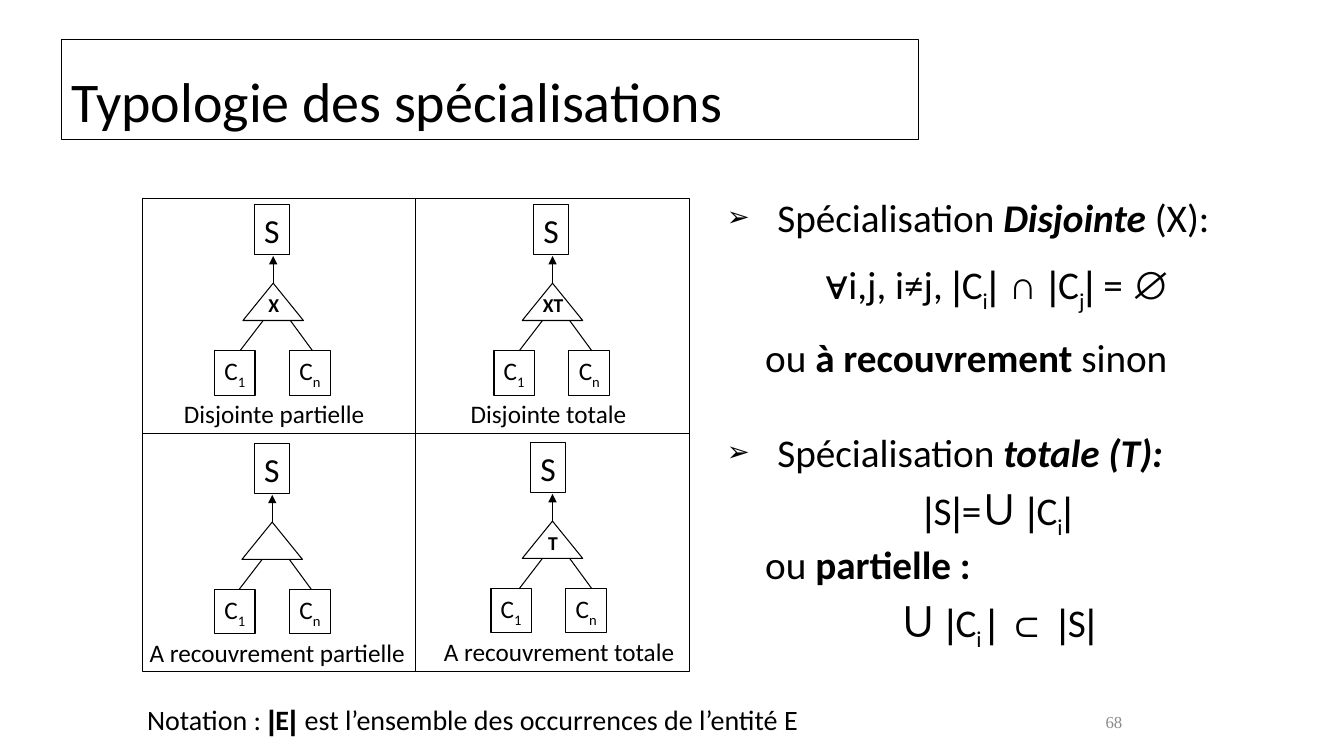
"""Build the slide on the kinds of specialisation."""
from lxml import etree
from pptx import Presentation
from pptx.dml.color import RGBColor
from pptx.enum.shapes import MSO_CONNECTOR, MSO_SHAPE
from pptx.enum.text import MSO_ANCHOR, MSO_AUTO_SIZE, PP_ALIGN
from pptx.oxml.ns import qn
from pptx.util import Pt

PX = 9144
LEFT, MID, RIGHT = PP_ALIGN.LEFT, PP_ALIGN.CENTER, PP_ALIGN.RIGHT
TOP, CORE, BASE = MSO_ANCHOR.TOP, MSO_ANCHOR.MIDDLE, MSO_ANCHOR.BOTTOM
RECT, CONE = MSO_SHAPE.RECTANGLE, MSO_SHAPE.ISOSCELES_TRIANGLE
LINE = MSO_CONNECTOR.STRAIGHT
FIXED = MSO_AUTO_SIZE.NONE
COLORS = {"ink": "000000", "gray": "8B8B8B"}

TREES = [
    (252, 203, 0, "X", "Disjointe partielle", 272, 210),
    (529, 203, 0, "XT", "Disjointe totale", 544, 190),
    (252, 440, -1, "", "A recouvrement partielle", 275, 294),
    (526, 439, 3, "T", "A recouvrement totale", 554, 341),
]
RULES = [
    ("bullet", 0, [("Spécialisation ", ""), ("Disjointe", "bi"), (" (X):", "")]),
    ("center", 14, [("∀", "a"), ("i,j, i≠j, ", ""), ("|", "a"), ("C", ""),
                    ("i", "s"), ("| ∩ |", "a"), ("C", ""), ("j", "s"),
                    ("|", "a"), (" = ", ""), ("∅", "a")]),
    ("plain", 14, [("ou ", ""), ("à recouvrement ", "b"), ("sinon", "")]),
    ("bullet", 34, [("Spécialisation ", ""), ("totale (T):", "bi")]),
    ("center", 0, [("|", "a"), ("S", ""), ("|", "a"), ("=", ""), ("∪", "au"),
                   (" ", ""), ("|", "a"), ("C", ""), ("i", "s"), ("|", "a")]),
    ("plain", 0, [("ou ", ""), ("partielle :", "b")]),
    ("center", 0, [("∪", "au"), (" ", ""), ("|", "a"), ("C", ""), ("i ", "s"),
                   ("| ⊂ |", "a"), ("S", ""), ("|", "a")]),
]
NOTE = [("Notation : ", ""), ("|", "ab"), ("E", "b"), ("| ", "ab"),
        ("est l’ensemble des occurrences de l’entité E", "")]


def tint(name):
    """Return a named colour."""
    return RGBColor.from_string(COLORS[name])


def place(shape, x, y, w, h):
    """Move and size a shape in px."""
    shape.left, shape.top = x * PX, y * PX
    shape.width, shape.height = w * PX, h * PX


def border(shape):
    """Give a shape or line the thin black stroke."""
    shape.line.color.rgb = tint("ink")
    shape.line.width = Pt(0.75)


def write(para, runs, size, align=LEFT, face="Calibri", color="ink"):
    """Fill a paragraph with runs flagged a(rial), b, i, s(ub) or u(nion)."""
    para.alignment = align
    para.font.size = Pt(size)
    para.font.name = face
    para.font.color.rgb = tint(color)
    for text, flags in runs:
        run = para.add_run()
        run.text = text
        if "a" in flags:
            run.font.name = "Arial"
        if "b" in flags:
            run.font.bold = True
        if "i" in flags:
            run.font.italic = True
        if "u" in flags:
            run.font.size = Pt(36)
        if "s" in flags:
            run.font._element.set("baseline", "-25000")


def label(slide, area, runs, size, align=LEFT, anchor=TOP, **style):
    """Add a text box."""
    box = slide.shapes.add_textbox(*(v * PX for v in area))
    frame = box.text_frame
    frame.word_wrap = True
    frame.vertical_anchor = anchor
    write(frame.paragraphs[0], runs, size, align, **style)


def block(slide, kind, area, runs=(), size=18):
    """Add an unfilled outlined shape with optional text."""
    shape = slide.shapes.add_shape(kind, *(v * PX for v in area))
    shape.shadow.inherit = False
    shape.fill.background()
    border(shape)
    if runs:
        frame = shape.text_frame
        frame.word_wrap = False
        frame.vertical_anchor = CORE
        write(frame.paragraphs[0], runs, size, MID)


def link(slide, start, end, arrow=False):
    """Add a line, with an arrowhead at its end if asked."""
    line = slide.shapes.add_connector(LINE, *(v * PX for v in start + end))
    border(line)
    if arrow:
        stroke = line.line._get_or_add_ln()
        etree.SubElement(stroke, qn("a:tailEnd"), type="triangle")
    etree.SubElement(line._element.spPr, qn("a:effectLst"))


def tree(slide, x, y, skew, mark, name, mid, wide):
    """Draw one specialisation tree and its caption."""
    apex = x + 19 + skew
    block(slide, RECT, (x, y, 35, 50), [("S", "")], 24)
    block(slide, RECT, (x - 39, y + 145, 40, 44), [("C", ""), ("1", "s")])
    block(slide, RECT, (x + 35, y + 145, 41, 44), [("C", ""), ("n", "s")])
    block(slide, CONE, (apex - 30, y + 78, 60, 37))
    link(slide, (apex, y + 78), (apex, y + 51), True)
    for foot, tip in ((-33, -10), (39, 17)):
        link(slide, (apex + foot, y + 145), (apex + tip, y + 115))
    if mark:
        label(slide, (apex - 32, y + 83, 65, 33), [(mark, "b")], 14, MID)
    label(slide, (mid - wide // 2, y + 187, wide, 40), [(name, "")], 18, MID)


def bullet(para, kind):
    """Set the indent and bullet of a rule line."""
    props = para._p.get_or_add_pPr()
    left, hang = {"bullet": (50, -50), "center": (0, 0), "plain": (38, 0)}[kind]
    props.set("marL", str(left * PX))
    props.set("indent", str(hang * PX))
    if kind != "bullet":
        etree.SubElement(props, qn("a:buNone"))
        return
    color = etree.SubElement(props, qn("a:buClr"))
    etree.SubElement(color, qn("a:srgbClr"), val=COLORS["ink"])
    etree.SubElement(props, qn("a:buSzPct"), val="70000")
    etree.SubElement(props, qn("a:buFont"), typeface="Arial")
    etree.SubElement(props, qn("a:buChar"), char="➢")


def head(slide):
    """Format the title."""
    title = slide.shapes.title
    place(title, 61, 39, 850, 99)
    border(title)
    frame = title.text_frame
    frame.auto_size = FIXED
    frame.vertical_anchor = BASE
    write(frame.paragraphs[0], [("Typologie des spécialisations", "")], 40)


def rules(slide):
    """Fill the body with the definitions."""
    body = slide.placeholders[1]
    place(body, 711, 187, 558, 506)
    frame = body.text_frame
    frame.auto_size = FIXED
    for num, (kind, gap, runs) in enumerate(RULES):
        para = frame.add_paragraph() if num else frame.paragraphs[0]
        bullet(para, kind)
        para.space_before = Pt(gap)
        write(para, runs, 28, MID if kind == "center" else LEFT)


def main():
    """Build and save the slide."""
    deck = Presentation()
    deck.slide_width, deck.slide_height = 1333 * PX, 750 * PX
    slide = deck.slides.add_slide(deck.slide_layouts[1])
    head(slide)
    rules(slide)
    block(slide, RECT, (141, 197, 543, 469))
    link(slide, (412, 197), (412, 666))
    link(slide, (141, 430), (684, 430))
    for item in TREES:
        tree(slide, *item)
    label(slide, (136, 692, 708, 43), NOTE, 20)
    label(slide, (1065, 683, 58, 67), [("68", "")], 12, RIGHT, CORE,
          face="Times New Roman", color="gray")
    deck.save("out.pptx")


if __name__ == "__main__":
    main()
